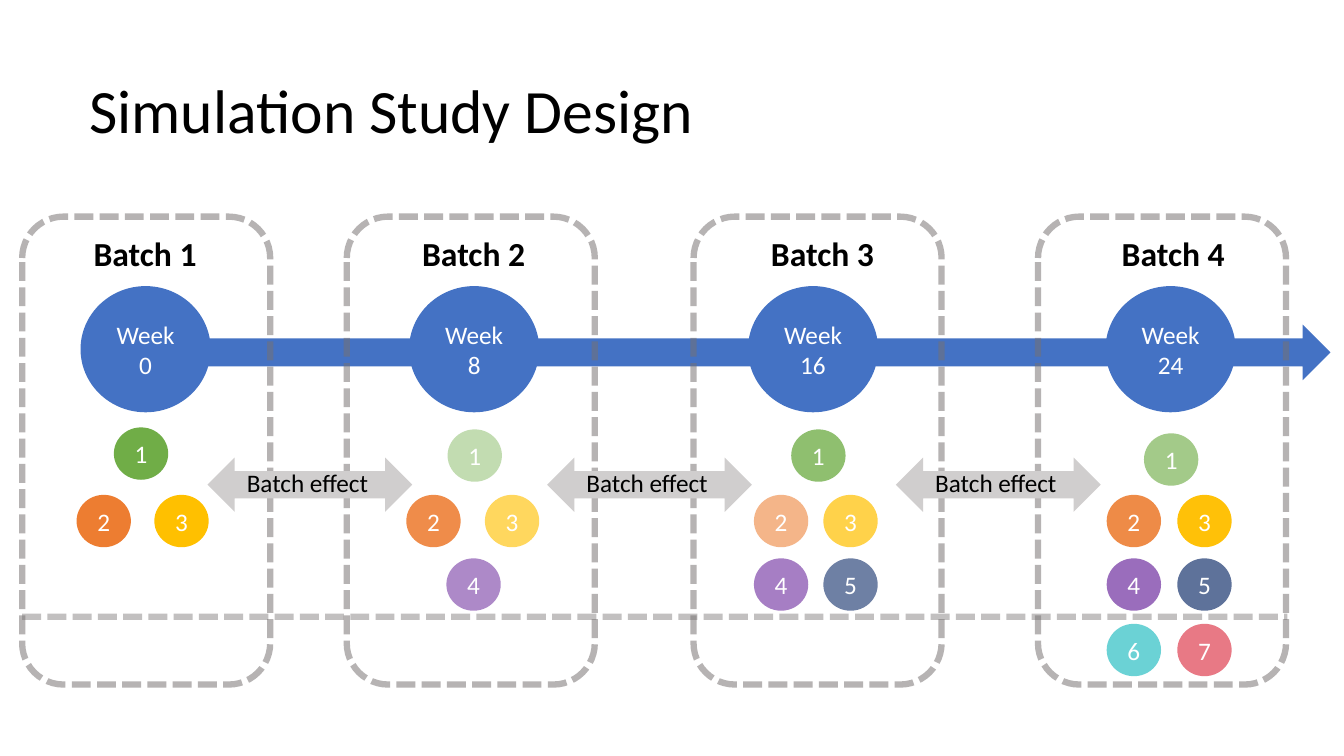
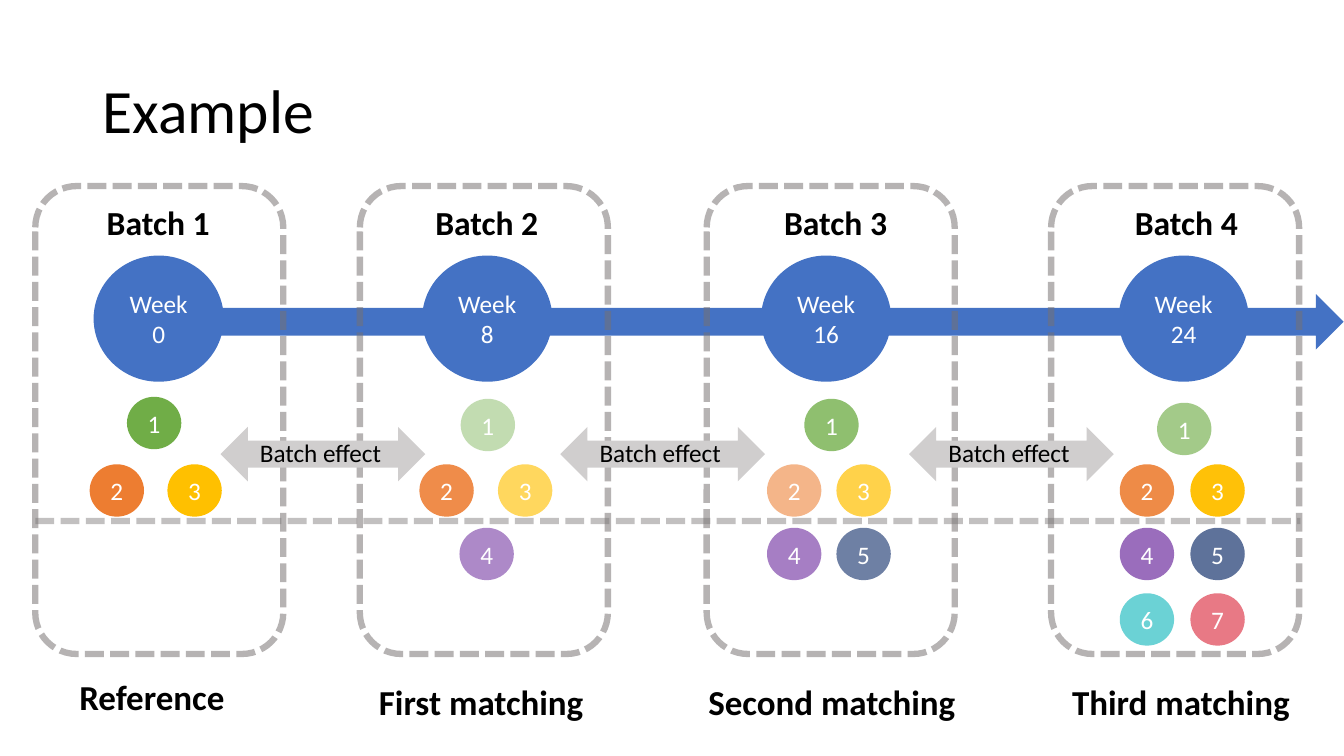
from pptx import Presentation
from pptx.dml.color import RGBColor
from pptx.enum.dml import MSO_LINE
from pptx.enum.shapes import MSO_CONNECTOR, MSO_SHAPE
from pptx.enum.text import MSO_ANCHOR, MSO_AUTO_SIZE, PP_ALIGN
from pptx.oxml.ns import qn
from pptx.util import Cm, Pt
from lxml import etree

# Enum members
OVAL, FRAME = MSO_SHAPE.OVAL, MSO_SHAPE.ROUNDED_RECTANGLE
ARROW, DOUBLE = MSO_SHAPE.RIGHT_ARROW, MSO_SHAPE.LEFT_RIGHT_ARROW
STRAIGHT, DASH = MSO_CONNECTOR.STRAIGHT, MSO_LINE.SQUARE_DOT
LEFT, CENTER = PP_ALIGN.LEFT, PP_ALIGN.CENTER
MIDDLE, GROW = MSO_ANCHOR.MIDDLE, MSO_AUTO_SIZE.SHAPE_TO_FIT_TEXT

# Colours and font
BLACK = RGBColor(0x00, 0x00, 0x00)
WHITE = RGBColor(0xFF, 0xFF, 0xFF)
BLUE = RGBColor(0x44, 0x72, 0xC4)
GRAY = RGBColor(0x76, 0x71, 0x71)
SILVER = RGBColor(0xD0, 0xCE, 0xCE)
GREEN = RGBColor(0x70, 0xAD, 0x47)
ORANGE = RGBColor(0xED, 0x7D, 0x31)
GOLD = RGBColor(0xFF, 0xC0, 0x00)
PURPLE = RGBColor(0x70, 0x30, 0xA0)
NAVY = RGBColor(0x00, 0x20, 0x60)
TEAL = RGBColor(0x00, 0xB2, 0xB8)
ROSE = RGBColor(0xE5, 0x63, 0x71)
HUES = [GREEN, ORANGE, GOLD, PURPLE, NAVY, TEAL, ROSE]
FONT = "Calibri"

# Diagram layout in centimetres; dot rows lie below the first dot
ROWS = [12.47, 14.07, 15.72]
START, END = 0.56, 32.44
EFFECTS = [5.23, 13.79, 22.58]

# Each batch: frame, label and week lefts, week, first dot's top,
# then left and opacity of every dot
BATCHES = [
    (0.56, 2.11, 2.03, 0, 10.77, [(2.87, 100), (1.93, 100), (3.89, 100)]),
    (8.74, 10.39, 10.31, 8, 10.82,
     [(11.28, 42), (10.24, 88), (12.22, 63), (11.25, 57)]),
    (17.48, 19.18, 18.85, 16, 10.82,
     [(19.94, 78), (19.0, 57), (20.75, 71), (19.0, 62), (20.75, 57)]),
    (26.16, 28.02, 27.86, 24, 10.92,
     [(28.83, 64), (27.89, 89), (29.67, 97), (27.89, 70), (29.67, 63),
      (27.89, 58), (29.67, 86)]),
]

# Captions: text, left, top, width
NOTES = [
    ("Reference", 1.75, 16.89, 4.22),
    ("First matching", 9.3, 17.02, 5.92),
    ("Second matching", 17.6, 17.02, 7.01),
    ("Third matching", 26.77, 17.02, 6.25),
]


def write(frame, text, size=18, color=BLACK, bold=False, align=LEFT):
    para = frame.paragraphs[0]
    para.alignment = align
    run = para.add_run()
    run.text = text
    font = run.font
    font.name, font.size, font.bold = FONT, Pt(size), bold
    font.color.rgb = color
    return para


def fade(item, alpha):
    """Set the opacity, in percent, of the item's colour."""
    if alpha < 100:
        for tint in item.element.spPr.iter(qn("a:srgbClr")):
            mark = etree.SubElement(tint, qn("a:alpha"))
            mark.set("val", str(alpha * 1000))


def dash(item, alpha):
    item.line.color.rgb = GRAY
    item.line.width = Pt(4.5)
    item.line.dash_style = DASH
    fade(item, alpha)


def add_form(shapes, kind, box, fill=None, alpha=100, text=""):
    form = shapes.add_shape(kind, *map(Cm, box))
    form.shadow.inherit = False
    if fill is None:
        form.fill.background()
        dash(form, alpha)
    else:
        form.fill.solid()
        form.fill.fore_color.rgb = fill
        form.line.fill.background()
        fade(form, alpha)
    if text:
        form.text_frame.vertical_anchor = MIDDLE
        write(form.text_frame, text, color=WHITE, align=CENTER)


def add_label(shapes, text, box, **style):
    frame = shapes.add_textbox(*map(Cm, box)).text_frame
    frame.word_wrap = False
    frame.auto_size = GROW
    write(frame, text, **style)


def add_rule(shapes, left, right, top):
    rule = shapes.add_connector(STRAIGHT, Cm(left), Cm(top), Cm(right), Cm(top))
    dash(rule, 43)
    etree.SubElement(rule.element.spPr, qn("a:effectLst"))


def add_effect(shapes, left, top):
    group = shapes.add_group_shape().shapes
    add_form(group, DOUBLE, (left, top, 5.16, 1.37), SILVER)
    add_label(group, "Batch effect", (left + 0.74, top + 0.13, 3.61, 1.02))


def add_dots(shapes, first, dots, dx, dy):
    for i, (left, alpha) in enumerate(dots):
        top = ROWS[(i - 1) // 2] if i else first
        add_form(shapes, OVAL, (left + dx, top + dy, 1.37, 1.32),
                 HUES[i], alpha, str(i + 1))


def add_design(shapes, cut, dx=0, dy=0):
    # Timeline with weeks and dots
    add_form(shapes, ARROW, (2.31 + dx, 8.18 + dy, 31.22, 1.4), BLUE)
    for _, _, left, week, first, dots in BATCHES:
        add_form(shapes, OVAL, (left + dx, 7.21 + dy, 3.28, 3.18),
                 BLUE, text=f"Week {week}")
        add_dots(shapes, first, dots, dx, dy)
    # Frames and dividing line
    for left, *_ in BATCHES:
        add_form(shapes, FRAME, (left + dx, 5.46 + dy, 6.25, 11.79), alpha=52)
    add_rule(shapes, START + dx, END + dx, cut)
    # Batch names and effects
    for i, (_, left, *_) in enumerate(BATCHES, 1):
        add_label(shapes, f"Batch {i}", (left + dx, 5.74 + dy, 3.12, 1.27),
                  size=24, bold=True)
    for left in EFFECTS:
        add_effect(shapes, left + dx, 11.53 + dy)


def add_page(deck, title, left):
    slide = deck.slides.add_slide(deck.slide_layouts[5])
    head = slide.shapes.title
    head.left, head.top, head.width, head.height = map(
        Cm, (left, 1.02, 29.21, 3.68))
    head.text_frame.vertical_anchor = MIDDLE
    write(head.text_frame, title, size=44).line_spacing = 0.9
    return slide.shapes


def main():
    deck = Presentation()
    deck.slide_width, deck.slide_height = Cm(33.87), Cm(19.05)

    # Study design
    shapes = add_page(deck, "Simulation Study Design", 2.0)
    add_design(shapes, 15.54)

    # Example with captions
    shapes = add_page(deck, "Example", 2.33)
    for text, left, top, width in NOTES:
        add_label(shapes, text, (left, top, width, 1.32), size=25, bold=True)
    add_design(shapes, 13.13, dx=0.33, dy=-0.77)

    deck.save("out.pptx")


main()
